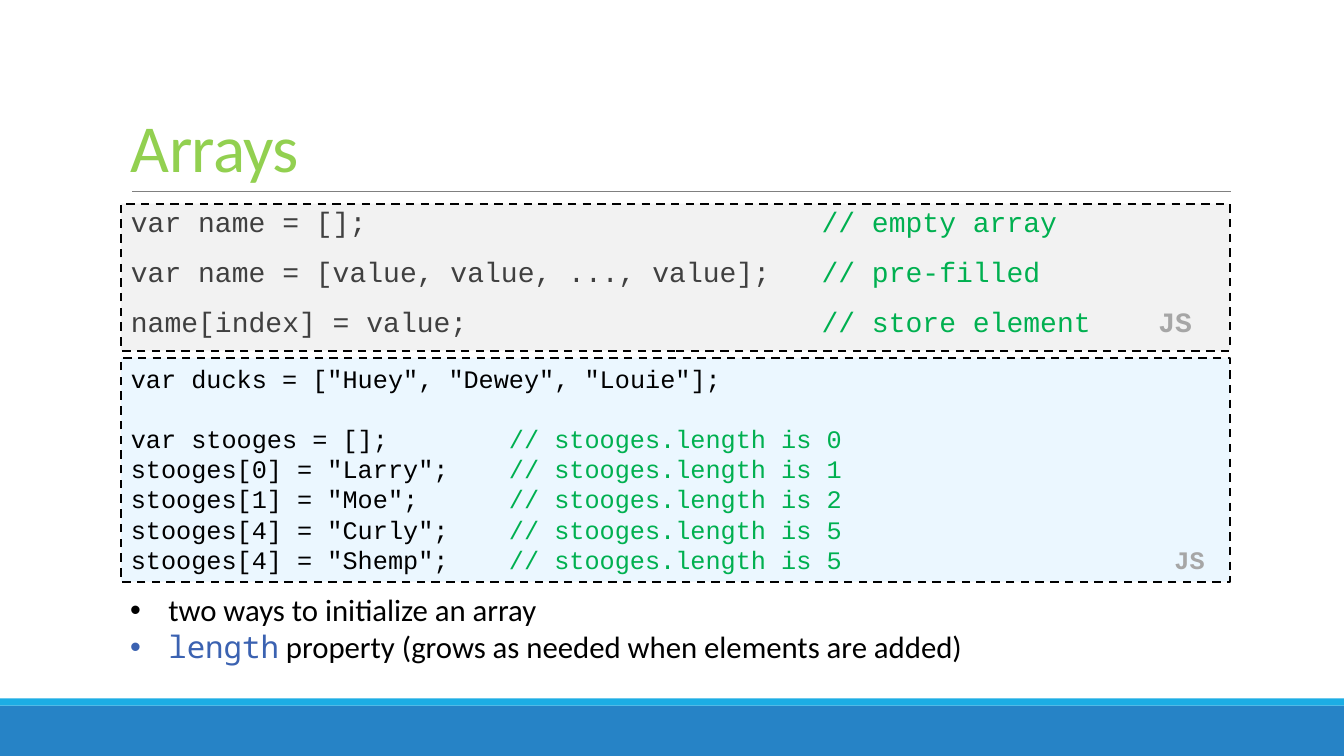
import pptx
import pptx.util
import pptx.dml.color
import pptx.enum.dml
import pptx.enum.shapes
import pptx.enum.text
import pptx.oxml.ns
import lxml.etree

WIDE, HIGH = 13.33, 7.5
LEFT, SPAN = 1.2, 11
MONO, SANS = "Courier New", "Calibri"
BLACK, GREEN, GRAY = "000000", "00B050", "A6A6A6"
inch, points = pptx.util.Inches, pptx.util.Pt


def paint(color, code):
    """Set a colour format from a hex string."""
    color.rgb = pptx.dml.color.RGBColor.from_string(code)


def node(parent, tag, **attrs):
    """Append a drawing element with attributes."""
    item = lxml.etree.SubElement(parent, pptx.oxml.ns.qn("a:" + tag))
    for key, value in attrs.items():
        item.set(key, str(value))
    return item


def block(slide, box, fill, dashed=False):
    """Draw a filled rectangle, with a dashed border if asked."""
    kind = pptx.enum.shapes.MSO_SHAPE.RECTANGLE
    shape = slide.shapes.add_shape(kind, *map(inch, box))
    shape.shadow.inherit = False
    shape.fill.solid()
    paint(shape.fill.fore_color, fill)
    if dashed:
        shape.line.width = points(1.5)
        paint(shape.line.color, BLACK)
        shape.line.dash_style = pptx.enum.dml.MSO_LINE.DASH
    else:
        shape.line.fill.background()
    return shape


def rule(slide, start, end, top):
    """Draw the thin line below the title."""
    kind = pptx.enum.shapes.MSO_CONNECTOR.STRAIGHT
    line = slide.shapes.add_connector(kind, *map(inch, (start, top, end, top)))
    line.line.width = points(0.5)
    paint(line.line.color, "808080")
    node(line._element.spPr, "effectLst")


def setup(shape, anchor, insets):
    """Prepare a text frame with wrapping, anchor and insets."""
    frame = shape.text_frame
    frame.word_wrap = True
    frame.vertical_anchor = anchor
    (frame.margin_left, frame.margin_top,
     frame.margin_right, frame.margin_bottom) = map(inch, insets)
    return frame


def write(frame, index, parts, size):
    """Fill one left-aligned paragraph with (text, font, colour) runs."""
    para = frame.paragraphs[0] if index == 0 else frame.add_paragraph()
    para.alignment = pptx.enum.text.PP_ALIGN.LEFT
    for text, face, code in parts:
        run = para.add_run()
        run.text = text
        run.font.name = face
        run.font.size = points(size)
        paint(run.font.color, code)
    return para


def code(slide, box, fill, color, size, rows, stops):
    """Draw a code box whose comments and label sit on tab stops."""
    shape = block(slide, box, fill, True)
    top = pptx.enum.text.MSO_ANCHOR.TOP
    frame = setup(shape, top, (0.1, 0.05, 0, 0.05))
    for index, (left, note) in enumerate(rows):
        parts = [(left, MONO, color)]
        if note:
            parts.append(("\t// " + note, MONO, GREEN))
        last = index == len(rows) - 1
        if last:
            parts.append(("\tJS", MONO, GRAY))
        para = write(frame, index, parts, size)
        para.runs[-1].font.bold = last
        tabs = node(para._p.get_or_add_pPr(), "tabLst")
        for stop in stops:
            node(tabs, "tab", pos=inch(stop), algn="l")
    return frame.paragraphs


def title(slide, text):
    """Write the slide title."""
    shape = slide.shapes.add_textbox(*map(inch, (LEFT, 0.31, SPAN, 1.59)))
    low = pptx.enum.text.MSO_ANCHOR.BOTTOM
    frame = setup(shape, low, (0.1, 0.05, 0.1, 0.05))
    para = write(frame, 0, [(text, SANS, "92D050")], 48)
    para.line_spacing = 0.85
    para.runs[0].font._element.set("spc", "-50")


def points_list(slide, items):
    """Write the bulleted remarks."""
    shape = slide.shapes.add_textbox(*map(inch, (LEFT, 5.49, SPAN, 1.61)))
    middle = pptx.enum.text.MSO_ANCHOR.MIDDLE
    frame = setup(shape, middle, (0.09, 0, 0, 0.13))
    for index, parts in enumerate(items):
        props = write(frame, index, parts, 22)._p.get_or_add_pPr()
        props.set("marL", str(inch(0.38)))
        props.set("indent", str(-inch(0.38)))
        node(props, "buFont", typeface="Arial")
        node(props, "buChar", char="•")


def main():
    """Build and save the slide."""
    deck = pptx.Presentation()
    deck.slide_width, deck.slide_height = inch(WIDE), inch(HIGH)
    slide = deck.slides.add_slide(deck.slide_layouts[6])

    block(slide, (0, 7, WIDE, 0.5), "2683C6")
    block(slide, (0, 6.93, WIDE, 0.07), "1CADE4")
    rule(slide, 1.31, 12.21, 1.9)
    title(slide, "Arrays")

    forms = [("var name = [];", "empty array"),
             ("var name = [value, value, ..., value];", "pre-filled"),
             ("name[index] = value;", "store element")]
    lines = code(slide, (LEFT, 2.02, SPAN, 1.46), "F2F2F2", "404040", 20,
                 forms, (6.85, 10.19))
    for index, para in enumerate(lines):
        para.line_spacing = 0.9
        para.space_before = points(12 if index else 0)
        para.space_after = points(2)

    names = [(0, "Larry", 1), (1, "Moe", 2), (4, "Curly", 5), (4, "Shemp", 5)]
    ducks = [('var ducks = ["Huey", "Dewey", "Louie"];', ""),
             ("var stooges = [];", "stooges.length is 0")]
    ducks += [(f'stooges[{spot}] = "{name}";', f"stooges.length is {size}")
              for spot, name, size in names]
    lines = code(slide, (LEFT, 3.55, SPAN, 2.22), "EBF7FF", BLACK, 18,
                 ducks, (3.75, 10.35))
    lines[1].space_before = points(21.6)

    points_list(slide, [
        [("two ways to initialize an array", SANS, BLACK)],
        [("length", "Noto Sans Mono", "3B62B1"),
         ("\u00a0property (grows as needed when elements are added)",
          SANS, BLACK)]])
    deck.save("out.pptx")


main()
